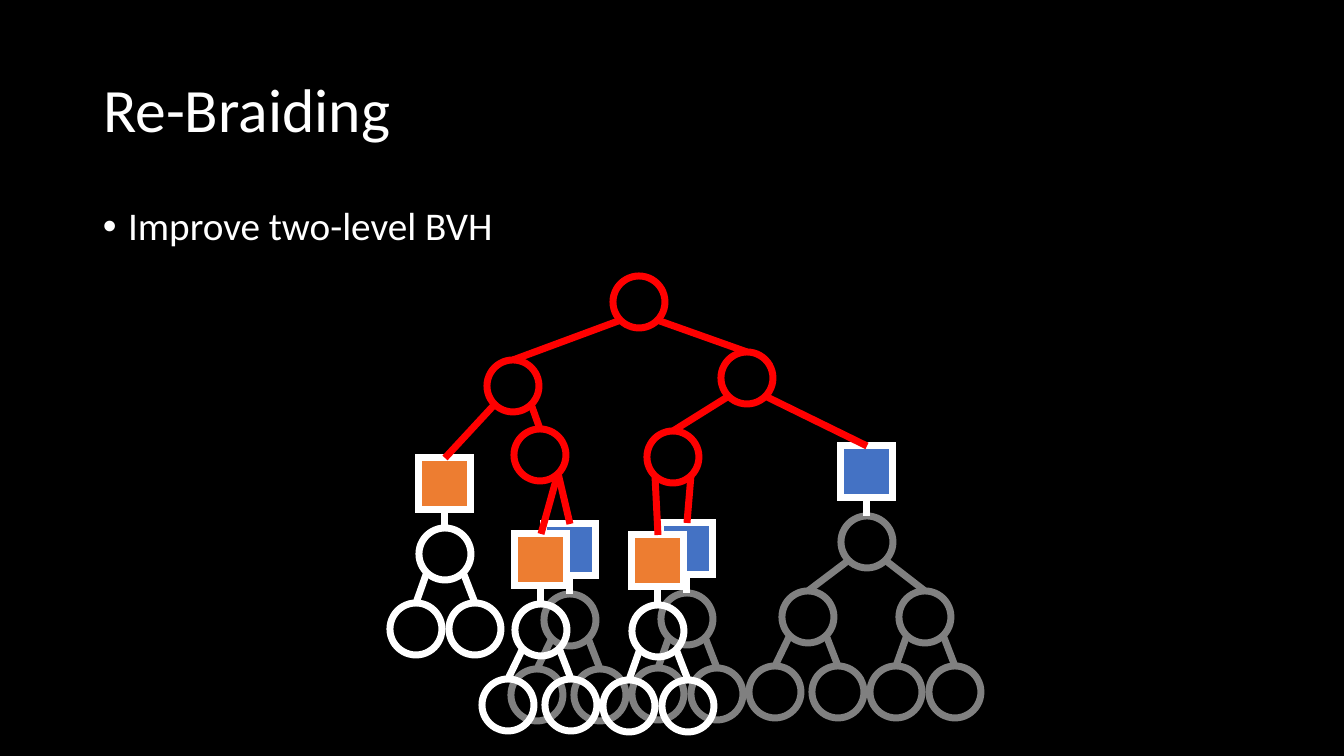
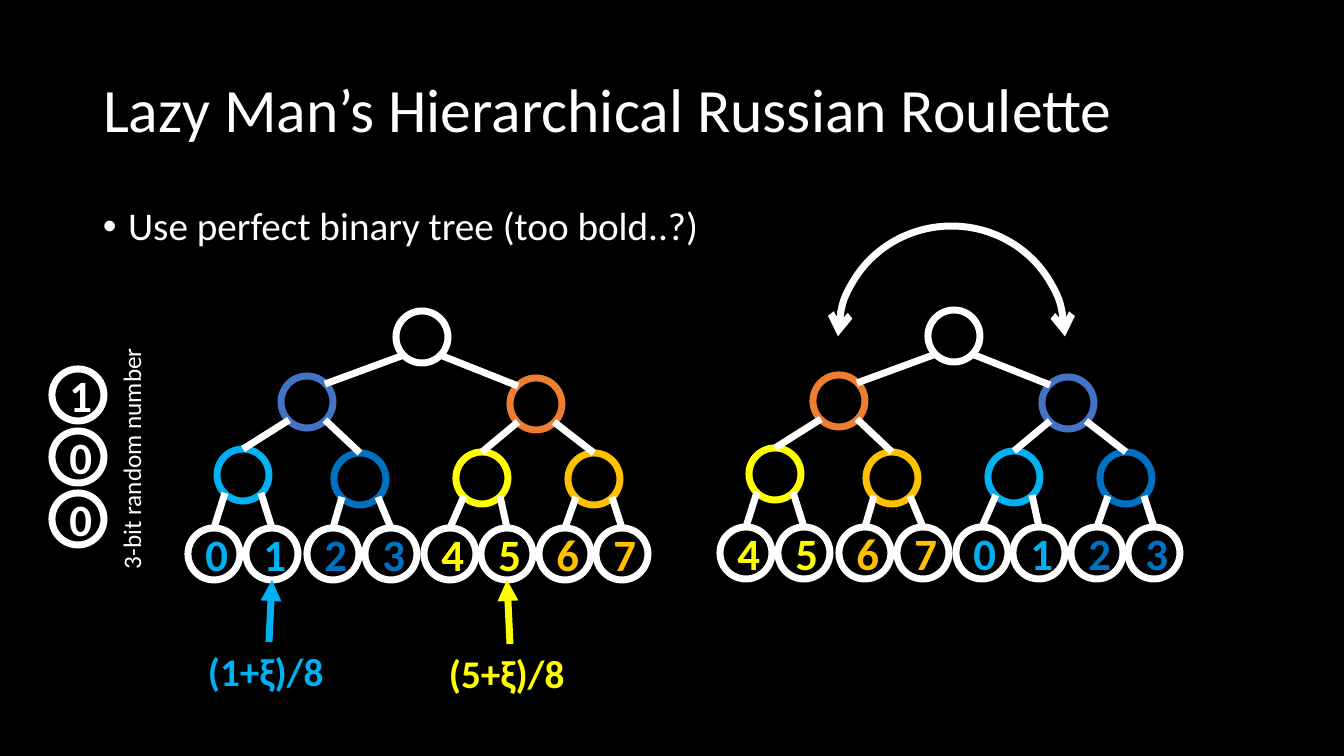
import collections

import lxml.etree
import pptx
import pptx.dml.color
import pptx.enum.shapes
import pptx.enum.text
import pptx.oxml.ns
import pptx.util

SHAPES = pptx.enum.shapes.MSO_SHAPE
WIDTH, HEIGHT = 1344, 756
SCALE = 12192000 / WIDTH
FONT = "Calibri"
BLACK, WHITE, GRAY, RED = "000000", "FFFFFF", "808080", "FF0000"
BLUE, ORANGE = "4472C4", "ED7D31"
SKY, NAVY, YELLOW, GOLD = "00B0F0", "0070C0", "FFFF00", "FFC000"
RADIUS, DIAGONAL = 26, 18
STROKE = 5

Box = collections.namedtuple("Box", "left top width height")
Half = collections.namedtuple("Half", "colour shades digits")
TITLE_BOX = Box(93, 40, 1159, 146)
BODY_BOX = Box(93, 202, 1159, 480)
COOL = Half(BLUE, (SKY, NAVY), "0123")
WARM = Half(ORANGE, (YELLOW, GOLD), "4567")


def px(length):
    """Turn a length in px into EMU."""
    return pptx.util.Emu(round(length * SCALE))


def emu(box):
    """Turn the sides of a box into EMU."""
    return [px(side) for side in box]


def rgb(colour):
    """Turn a hex string into a colour."""
    return pptx.dml.color.RGBColor.from_string(colour)


def add_xml(parent, tag, **attributes):
    """Append a DrawingML element."""
    return lxml.etree.SubElement(parent, pptx.oxml.ns.qn(tag), attributes)


def offset(box, point):
    """Place a point given from the corner of a box."""
    return box.left + point[0], box.top + point[1]


def stroke(item, colour, head=None, tail=None):
    """Give a shape or connector its mitred line and arrowheads."""
    item.line.color.rgb = rgb(colour)
    item.line.width = pptx.util.Pt(STROKE)
    outline = item.line._get_or_add_ln()
    add_xml(outline, "a:miter", lim="800000")
    for tag, kind in (("a:headEnd", head), ("a:tailEnd", tail)):
        if kind:
            add_xml(outline, tag, type=kind)


def write(frame, text, size, colour=WHITE, bold=False):
    """Fill a text frame with one paragraph and return it."""
    para = frame.paragraphs[0]
    para.text = text
    para.font.name = FONT
    para.font.size = pptx.util.Pt(size)
    para.font.bold = bold
    para.font.color.rgb = rgb(colour)
    return para


def add_label(page, box, text, size, colour=WHITE, bold=False, wrap=True):
    """Add a text box."""
    label = page.shapes.add_textbox(*emu(box))
    label.text_frame.word_wrap = wrap
    write(label.text_frame, text, size, colour, bold)
    return label


def add_outline(page, kind, box, colour, fill=None):
    """Add a preset shape with a thick line."""
    shape = page.shapes.add_shape(kind, *emu(box))
    shape.shadow.inherit = False
    if fill:
        shape.fill.solid()
        shape.fill.fore_color.rgb = rgb(fill)
    else:
        shape.fill.background()
    return shape


def add_node(page, centre, colour, kind=SHAPES.OVAL, fill=None):
    """Add a tree node around its centre."""
    x, y = centre
    box = Box(x - RADIUS, y - RADIUS, 2 * RADIUS, 2 * RADIUS)
    node = add_outline(page, kind, box, colour, fill)
    stroke(node, colour)
    return node


def add_digit(page, centre, digit, colour):
    """Add a white node that holds a digit."""
    node = add_node(page, centre, WHITE)
    write(node.text_frame, digit, 32, colour, True)


def add_line(page, start, end, colour, tail=None):
    """Add a straight connector."""
    straight = pptx.enum.shapes.MSO_CONNECTOR.STRAIGHT
    line = page.shapes.add_connector(straight, *emu(start + end))
    stroke(line, colour, tail=tail)
    add_xml(line._element.spPr, "a:effectLst")


def add_edge(page, parent, child, colour, to_corner=False):
    """Join the lower diagonal of a parent to the top or upper diagonal of a child."""
    side = -1 if child[0] < parent[0] else 1
    start = (parent[0] + side * DIAGONAL, parent[1] + DIAGONAL)
    if to_corner:
        end = (child[0] - side * DIAGONAL, child[1] - DIAGONAL)
    else:
        end = (child[0], child[1] - RADIUS)
    add_line(page, start, end, colour)


def add_fork(page, parent, spread, colour):
    """Add two children below a node and return their centres."""
    children = [(parent[0] + shift, parent[1] + 75) for shift in spread]
    for child in children:
        add_node(page, child, colour)
        add_edge(page, parent, child, colour)
    return children


def add_instance(page, centre, fill, colour, spread, leaf_spreads=()):
    """Add an instance square with the object tree that hangs below it."""
    x, y = centre
    root = (x, y + 70)
    add_node(page, root, colour)
    children = add_fork(page, root, spread, colour)
    for child, leaf_spread in zip(children, leaf_spreads):
        add_fork(page, child, leaf_spread, colour)
    add_node(page, centre, WHITE, SHAPES.RECTANGLE, fill)
    add_line(page, (x, y + RADIUS), (x, root[1] - RADIUS), WHITE)


def add_braided_tree(page, box):
    """Add the two-level tree with its instances."""
    wide, even = (-33, 30), (-29, 30)
    spots = {
        "root": (249, 26), "left": (123, 110), "right": (357, 102),
        "inner left": (150, 179), "inner right": (283, 181),
        "blue 1": (477, 196), "blue 2": (180, 274), "blue 3": (297, 273),
        "orange 1": (55, 208), "orange 2": (151, 284), "orange 3": (268, 285),
    }
    spots = {name: offset(box, spot) for name, spot in spots.items()}
    instances = (
        ("blue 1", (-59, 58), (wide, even)), ("blue 2", wide, ()), ("blue 3", even, ()),
        ("orange 1", even, ()), ("orange 2", wide, ()), ("orange 3", even, ()),
    )
    for name, spread, leaf_spreads in instances:
        fill, colour = (BLUE, GRAY) if name.startswith("blue") else (ORANGE, WHITE)
        add_instance(page, spots[name], fill, colour, spread, leaf_spreads)
    top_level = {
        "root": ("left", "right"),
        "left": ("orange 1", "inner left"),
        "right": ("inner right", "blue 1"),
        "inner left": ("orange 2", "blue 2"),
        "inner right": ("orange 3", "blue 3"),
    }
    for name, children in top_level.items():
        add_node(page, spots[name], RED)
        for child in children:
            add_edge(page, spots[name], spots[child], RED)


def add_perfect_tree(page, box, halves):
    """Add a perfect binary tree with eight numbered leaves."""
    root = offset(box, (234, 26))
    branches = [offset(box, spot) for spot in ((119, 91), (348, 93))]
    twigs = [offset(box, spot) for spot in ((55, 164), (172, 168), (294, 167), (406, 168))]
    leaves = [offset(box, (x, 243)) for x in (26, 84, 145, 203, 262, 319, 377, 434)]
    shades = [shade for half in halves for shade in half.shades]
    digits = "".join(half.digits for half in halves)
    add_node(page, root, WHITE)
    for branch, half in zip(branches, halves):
        add_node(page, branch, half.colour)
        add_edge(page, root, branch, WHITE, to_corner=True)
    for index, twig in enumerate(twigs):
        add_node(page, twig, shades[index])
        add_edge(page, branches[index // 2], twig, WHITE)
    for index, leaf in enumerate(leaves):
        add_digit(page, leaf, digits[index], shades[index // 2])
        add_edge(page, twigs[index // 2], leaf, WHITE)


def add_random_bits(page, box, bits):
    """Add a column of bits with an upright caption."""
    for index, bit in enumerate(bits):
        add_digit(page, offset(box, (RADIUS, RADIUS + 62 * index)), bit, WHITE)
    caption = Box(box.left - 42, box.top + 69, 242, 40)
    label = add_label(page, caption, "3-bit random number", 18, wrap=False)
    label.rotation = 270


def add_pointer(page, box, text, tip, colour):
    """Add a formula with an arrow from its top to a leaf."""
    add_label(page, box, text, 28, colour, True)
    add_line(page, (box.left + box.width // 2, box.top), tip, colour, "triangle")


def add_swap_arc(page, box):
    """Add a half circle with arrowheads at both ends."""
    arc = add_outline(page, SHAPES.ARC, box, WHITE)
    arc.adjustments[0] = 108.05
    arc.adjustments[1] = 0
    stroke(arc, WHITE, "arrow", "arrow")


def start_page(deck, title, bullet):
    """Add a page with its title and one bullet."""
    page = deck.slides.add_slide(deck.slide_layouts[5])
    heading = page.shapes.title
    heading.left, heading.top, heading.width, heading.height = emu(TITLE_BOX)
    frame = heading.text_frame
    frame.word_wrap = True
    frame.auto_size = pptx.enum.text.MSO_AUTO_SIZE.NONE
    frame.vertical_anchor = pptx.enum.text.MSO_ANCHOR.MIDDLE
    para = write(frame, title, 44)
    para.alignment = pptx.enum.text.PP_ALIGN.LEFT
    para.line_spacing = 0.9

    body = page.shapes.add_textbox(*emu(BODY_BOX))
    body.text_frame.word_wrap = True
    para = body.text_frame.paragraphs[0]
    para.line_spacing = 0.9
    properties = para._p.get_or_add_pPr()
    properties.set("marL", "228600")
    properties.set("indent", "-228600")
    add_xml(properties, "a:buFont", typeface="Arial")
    add_xml(properties, "a:buChar", char="•")
    write(body.text_frame, bullet, 28)
    return page


def build_braiding(deck):
    """Build the page on re-braiding."""
    page = start_page(deck, "Re-Braiding", "Improve two-level BVH")
    add_braided_tree(page, Box(390, 276, 592, 454))


def build_roulette(deck):
    """Build the page on hierarchical Russian roulette."""
    page = start_page(
        deck, "Lazy Man’s Hierarchical Russian Roulette", "Use perfect binary tree (too bold..?)"
    )
    add_perfect_tree(page, Box(188, 311, 460, 269), (COOL, WARM))
    add_perfect_tree(page, Box(720, 310, 460, 269), (WARM, COOL))
    add_random_bits(page, Box(52, 369, 100, 176), "100")
    add_pointer(page, Box(198, 642, 143, 57), "(1+ξ)/8", (272, 580), SKY)
    add_pointer(page, Box(439, 644, 143, 57), "(5+ξ)/8", (507, 580), YELLOW)
    add_swap_arc(page, Box(838, 226, 227, 221))


def main():
    """Build and save the deck."""
    deck = pptx.Presentation()
    deck.slide_width, deck.slide_height = px(WIDTH), px(HEIGHT)
    backdrop = deck.slide_master.background.fill
    backdrop.solid()
    backdrop.fore_color.rgb = rgb(BLACK)
    build_braiding(deck)
    build_roulette(deck)
    deck.save("out.pptx")


if __name__ == "__main__":
    main()
